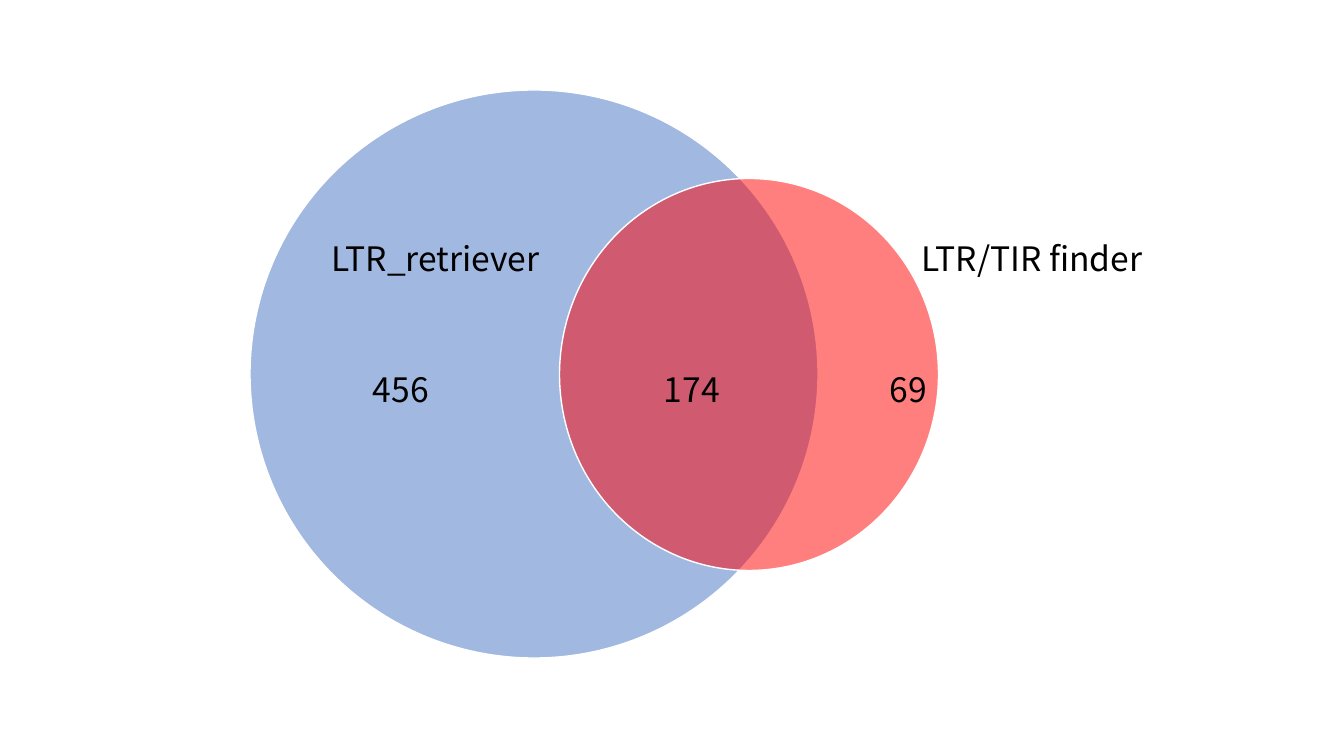
from lxml import etree
from pptx import Presentation
from pptx.dml.color import RGBColor
from pptx.enum.shapes import MSO_SHAPE as Shape
from pptx.enum.text import MSO_AUTO_SIZE as AutoSize
from pptx.oxml.ns import qn
from pptx.util import Emu, Pt


def px(length):
    return Emu(round(length * 914400 / 100.8))


def color(hex_string):
    return RGBColor.from_string(hex_string)


class VennSlide:
    """Holds the style and the current slide."""

    font_name = "Noto Sans CJK SC"
    font_size = Pt(24)
    text_color = "000000"
    outline_color = "FFFFFF"
    opacity = 50
    label_height = 50

    def __init__(self, presentation):
        self.slide = presentation.slides.add_slide(presentation.slide_layouts[6])
        self.circles = self.slide.shapes.add_group_shape()

    def circle(self, left, top, width, height, fill, rotation=0):
        shape = self.circles.shapes.add_shape(
            Shape.OVAL, px(left), px(top), px(width), px(height))
        shape.rotation = rotation
        shape.shadow.inherit = False
        shape.fill.solid()
        shape.fill.fore_color.rgb = color(fill)
        fill_color = shape._element.spPr.find(qn("a:solidFill"))[0]
        alpha = etree.SubElement(fill_color, qn("a:alpha"))
        alpha.set("val", str(self.opacity * 1000))
        shape.line.color.rgb = color(self.outline_color)
        shape.line.width = Pt(1)

    def label(self, text, left, top, width):
        box = self.slide.shapes.add_textbox(
            px(left), px(top), px(width), px(self.label_height))
        frame = box.text_frame
        frame.word_wrap = True
        frame.auto_size = AutoSize.SHAPE_TO_FIT_TEXT
        paragraph = frame.paragraphs[0]
        paragraph.text = text
        paragraph.font.name = self.font_name
        paragraph.font.size = self.font_size
        paragraph.font.color.rgb = color(self.text_color)


def main():
    presentation = Presentation()
    presentation.slide_width, presentation.slide_height = px(1344), px(756)
    venn = VennSlide(presentation)

    # Overlapping sets
    venn.circle(250, 90, 568, 568, "4472C4")
    venn.circle(553, 185, 392, 379, "FF0000", rotation=90)

    # Counts
    count_top = 364
    for count, left, width in (("456", 363, 146), ("69", 880, 64), ("174", 654, 113)):
        venn.label(count, left, count_top, width)

    # Set names
    name_top = 233
    for name, left, width in (("LTR/TIR finder", 912, 263), ("LTR_retriever", 322, 255)):
        venn.label(name, left, name_top, width)

    presentation.save("out.pptx")


if __name__ == "__main__":
    main()
